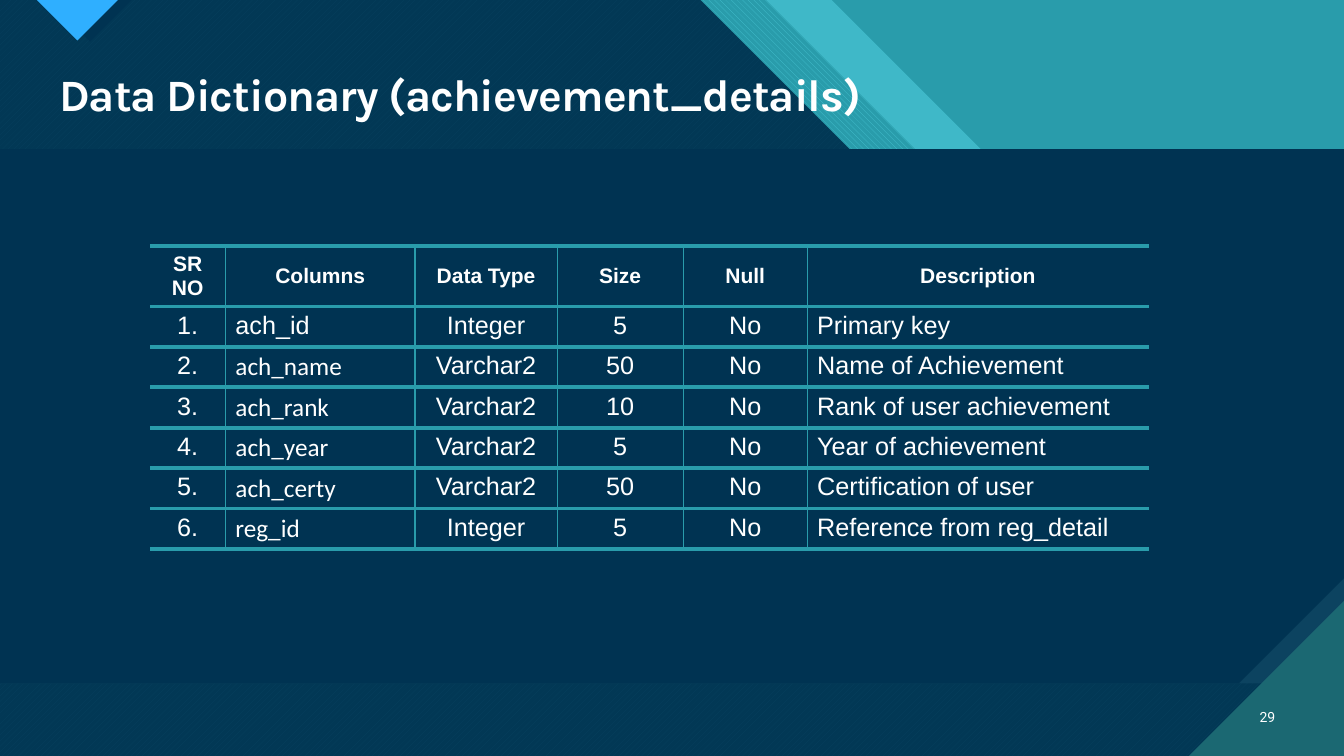
"""Build the data dictionary slide for the achievement_details table."""
from dataclasses import dataclass

from lxml.etree import SubElement
from pptx import Presentation
from pptx.dml.color import RGBColor
from pptx.enum.dml import MSO_PATTERN
from pptx.enum.text import MSO_ANCHOR, PP_ALIGN
from pptx.oxml.ns import qn
from pptx.util import Cm, Pt


@dataclass(frozen=True)
class Theme:
    navy: str = "003352"
    slate: str = "0C4360"
    teal: str = "299CAB"
    aqua: str = "47C3D3"
    pine: str = "1B6872"
    blue: str = "2FAFFF"
    white: str = "FFFFFF"
    title_font: str = "Karla"
    body_font: str = "Arial"
    name_font: str = "Calibri"
    number_font: str = "Roboto"
    title_size: int = 32
    header_size: int = 15
    body_size: int = 18
    number_size: int = 10


THEME = Theme()
WIDTH, HEIGHT = 33.87, 19.05
BODY_TOP, BODY_BOTTOM, BODY_SNIP = 3.76, 17.22, 2.65
COLUMN_WIDTHS = (1.9, 4.78, 3.58, 3.18, 3.12, 8.61)
HEADERS = ("SR NO", "Columns", "Data Type", "Size", "Null", "Description")
FIELDS = (
    ("ach_id", "Integer", "5", "No", "Primary key"),
    ("ach_name", "Varchar2", "50", "No", "Name of Achievement"),
    ("ach_rank", "Varchar2", "10", "No", "Rank of user achievement"),
    ("ach_year", "Varchar2", "5", "No", "Year of achievement"),
    ("ach_certy", "Varchar2", "50", "No", "Certification of user"),
    ("reg_id", "Integer", "5", "No", "Reference from reg_detail"),
)


def rgb(color):
    return RGBColor.from_string(color)


def add_polygon(s, points, color, alpha=None, pattern=None, back=None):
    start, *rest = [(Cm(x), Cm(y)) for x, y in points]
    builder = s.shapes.build_freeform(*start, scale=1.0)
    builder.add_line_segments(rest, close=True)
    sp = builder.convert_to_shape()
    sp.shadow.inherit = False
    sp.line.fill.background()
    if pattern is None:
        sp.fill.solid()
    else:
        sp.fill.patterned()
        sp.fill.pattern = pattern
        sp.fill.back_color.rgb = rgb(back)
    sp.fill.fore_color.rgb = rgb(color)
    if alpha is not None:
        clr = sp.fill._xPr.find(qn("a:solidFill"))[0]
        SubElement(clr, qn("a:alpha"), val=str(alpha * 1000))


def slanted(x):
    """Return a panel whose right edge falls at 45 degrees from x."""
    return [(0, 0), (x, 0), (x + BODY_TOP, BODY_TOP), (WIDTH, BODY_TOP),
            (WIDTH, HEIGHT), (0, HEIGHT)]


def add_backdrop(s):
    s.background.fill.solid()
    s.background.fill.fore_color.rgb = rgb(THEME.teal)
    add_polygon(s, slanted(20.96), THEME.aqua, alpha=74)
    add_polygon(s, slanted(19.3), THEME.aqua,
                pattern=MSO_PATTERN.WIDE_DOWNWARD_DIAGONAL, back=THEME.teal)
    add_polygon(s, slanted(17.65), THEME.aqua,
                pattern=MSO_PATTERN.WIDE_UPWARD_DIAGONAL, back=THEME.pine)
    add_polygon(s, slanted(17.65), THEME.navy, alpha=90)
    add_polygon(s, [(1.22, 0), (3.32, 0), (2.27, 1.05)], THEME.navy)
    add_polygon(s, [(0.93, 0), (2.97, 0), (1.95, 1.02)], THEME.blue)
    for snip, color in ((0, THEME.slate), (BODY_SNIP, THEME.navy)):
        add_polygon(s, [(0, BODY_TOP), (WIDTH, BODY_TOP),
                        (WIDTH, BODY_BOTTOM - snip),
                        (WIDTH - snip, BODY_BOTTOM), (0, BODY_BOTTOM)], color)
    add_polygon(s, [(WIDTH - 3.91, HEIGHT), (WIDTH, HEIGHT),
                    (WIDTH, HEIGHT - 3.91)], THEME.pine)


def write(tf, text, font, size, bold=False, align=PP_ALIGN.LEFT):
    tf.text = text
    p = tf.paragraphs[0]
    p.alignment = align
    r = p.runs[0]
    r.font.name, r.font.size, r.font.bold = font, Pt(size), bold
    r.font.color.rgb = rgb(THEME.white)
    return p


def add_text(s, box, anchor, *args, **kwargs):
    tf = s.shapes.add_textbox(*map(Cm, box)).text_frame
    tf.word_wrap = True
    tf.vertical_anchor = anchor
    return write(tf, *args, **kwargs)


def set_borders(cell, first, last):
    tcPr = cell._tc.get_or_add_tcPr()
    widths = (("L", 0 if first else 1), ("R", 0 if last else 1), ("T", 3), ("B", 3))
    for side, width in widths:
        ln = SubElement(tcPr, qn(f"a:ln{side}"), w=str(Pt(width)))
        if width:
            fill = SubElement(ln, qn("a:solidFill"))
            SubElement(fill, qn("a:srgbClr"), val=THEME.teal)
        else:
            SubElement(ln, qn("a:noFill"))


def fill_cell(cell, text, row, col):
    set_borders(cell, col == 0, col == len(HEADERS) - 1)
    cell.fill.background()
    if row == 0:
        cell.vertical_anchor = MSO_ANCHOR.MIDDLE
        write(cell.text_frame, text, THEME.body_font, THEME.header_size,
              bold=True, align=PP_ALIGN.CENTER)
        return
    font = THEME.name_font if col == 1 and row > 1 else THEME.body_font
    align = PP_ALIGN.LEFT if col in (1, 5) else PP_ALIGN.CENTER
    write(cell.text_frame, text, font, THEME.body_size, align=align)


def add_dictionary(s):
    rows = [HEADERS] + [(f"{n}.", *field) for n, field in enumerate(FIELDS, 1)]
    frame = s.shapes.add_table(len(rows), len(HEADERS), Cm(3.78), Cm(6.2),
                               Cm(sum(COLUMN_WIDTHS)), Cm(7.62))
    table = frame.table
    table.first_row = table.horz_banding = False
    for column, width in zip(table.columns, COLUMN_WIDTHS):
        column.width = Cm(width)
    for i, values in enumerate(rows):
        table.rows[i].height = Cm(0.81 if i else 1.32)
        for j, text in enumerate(values):
            fill_cell(table.cell(i, j), text, i, j)


def main():
    prs = Presentation()
    prs.slide_width, prs.slide_height = Cm(WIDTH), Cm(HEIGHT)
    s = prs.slides.add_slide(prs.slide_layouts[6])
    add_backdrop(s)
    p = add_text(s, (1.24, 1.7, 31.14, 1.5), MSO_ANCHOR.TOP,
                 "Data Dictionary (achievement_details)",
                 THEME.title_font, THEME.title_size, bold=True)
    p.line_spacing = 0.9
    p.runs[0].font._element.set("spc", "-70")
    add_text(s, (31.27, 17.55, 1.12, 1.02), MSO_ANCHOR.MIDDLE, "29",
             THEME.number_font, THEME.number_size, align=PP_ALIGN.RIGHT)
    add_dictionary(s)
    prs.save("out.pptx")


if __name__ == "__main__":
    main()
